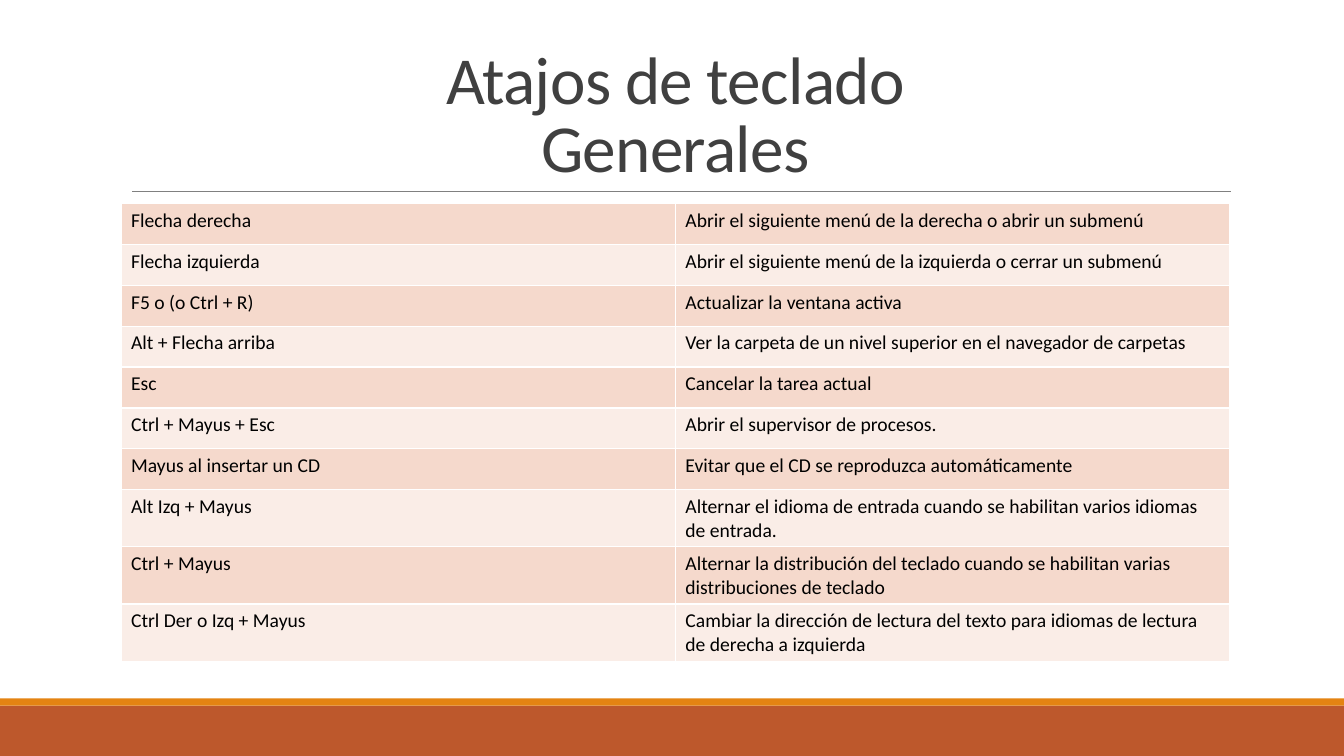
"""Builds a slide that lists general keyboard shortcuts in a table."""
import lxml.etree
import pptx
import pptx.dml.color
import pptx.enum.shapes
import pptx.enum.text
import pptx.oxml.ns
import pptx.util

Cm = pptx.util.Cm
Pt = pptx.util.Pt
qn = pptx.oxml.ns.qn

SHORTCUTS = [
    ("Flecha derecha", "Abrir el siguiente menú de la derecha o abrir un submenú"),
    ("Flecha izquierda", "Abrir el siguiente menú de la izquierda o cerrar un submenú"),
    ("F5 o (o Ctrl + R)", "Actualizar la ventana activa"),
    ("Alt + Flecha arriba", "Ver la carpeta de un nivel superior en el navegador de carpetas"),
    ("Esc", "Cancelar la tarea actual"),
    ("Ctrl + Mayus + Esc", "Abrir el supervisor de procesos."),
    ("Mayus al insertar un CD", "Evitar que el CD se reproduzca automáticamente"),
    ("Alt Izq + Mayus",
     "Alternar el idioma de entrada cuando se habilitan varios idiomas de entrada."),
    ("Ctrl + Mayus",
     "Alternar la distribución del teclado cuando se habilitan varias distribuciones de teclado"),
    ("Ctrl Der o Izq + Mayus",
     "Cambiar la dirección de lectura del texto para idiomas de lectura de derecha a izquierda"),
]


class ShortcutSlide:
    FONT = "Calibri"
    COLORS = {
        "footer": "BD582C",
        "stripe": "E48312",
        "rule": "808080",
        "title": "404040",
        "text": "000000",
        "odd": "F5D9CC",
        "even": "FAEDE7",
        "border": "FFFFFF",
    }

    def __init__(self, slide):
        self.slide = slide

    def color(self, name):
        return pptx.dml.color.RGBColor.from_string(self.COLORS[name])

    def band(self, top, height, color):
        band = self.slide.shapes.add_shape(
            pptx.enum.shapes.MSO_SHAPE.RECTANGLE, 0, Cm(top), Cm(33.87), Cm(height))
        band.shadow.inherit = False
        band.fill.solid()
        band.fill.fore_color.rgb = self.color(color)
        band.line.fill.background()

    def rule(self, left, right, y):
        rule = self.slide.shapes.add_connector(
            pptx.enum.shapes.MSO_CONNECTOR.STRAIGHT, Cm(left), Cm(y), Cm(right), Cm(y))
        rule.line.color.rgb = self.color("rule")
        rule.line.width = Pt(0.5)
        lxml.etree.SubElement(rule._element.spPr, qn("a:effectLst"))

    def run(self, paragraph, text, size, color):
        run = paragraph.add_run()
        run.text = text
        run.font.name = self.FONT
        run.font.size = Pt(size)
        run.font.color.rgb = self.color(color)
        return run

    def title(self, lines, left, top, width, height):
        frame = self.slide.shapes.add_textbox(
            Cm(left), Cm(top), Cm(width), Cm(height)).text_frame
        frame.word_wrap = True
        frame.vertical_anchor = pptx.enum.text.MSO_ANCHOR.BOTTOM
        heading = frame.paragraphs[0]
        heading.alignment = pptx.enum.text.PP_ALIGN.CENTER
        heading.line_spacing = 0.85
        for index, line in enumerate(lines):
            if index:
                heading.add_line_break()
            run = self.run(heading, line, 48, "title")
            run.font._element.set("spc", "-50")

    def borders(self, cell):
        properties = cell._tc.get_or_add_tcPr()
        for position, side in enumerate(("a:lnL", "a:lnR", "a:lnT", "a:lnB")):
            border = lxml.etree.Element(qn(side), w=str(Pt(1)))
            fill = lxml.etree.SubElement(border, qn("a:solidFill"))
            lxml.etree.SubElement(fill, qn("a:srgbClr"), val=self.COLORS["border"])
            properties.insert(position, border)

    def table(self, rows, left, top, width, row_height):
        table = self.slide.shapes.add_table(
            len(rows), len(rows[0]), Cm(left), Cm(top),
            Cm(width), Cm(row_height * len(rows))).table
        table.first_row = False
        for row_index, texts in enumerate(rows):
            for column_index, text in enumerate(texts):
                cell = table.cell(row_index, column_index)
                cell.fill.solid()
                cell.fill.fore_color.rgb = self.color("even" if row_index % 2 else "odd")
                self.borders(cell)
                self.run(cell.text_frame.paragraphs[0], text, 14, "text")


def main():
    presentation = pptx.Presentation()
    presentation.slide_width = Cm(33.87)
    presentation.slide_height = Cm(19.05)
    page = ShortcutSlide(presentation.slides.add_slide(presentation.slide_layouts[6]))
    page.band(17.78, 1.27, "footer")
    page.band(17.6, 0.18, "stripe")
    page.rule(3.33, 31.01, 4.83)
    page.title(["Atajos de teclado", "Generales"], 3.05, 0.79, 27.94, 4.04)
    page.table(SHORTCUTS, 3.05, 5.13, 27.94, 1.03)
    presentation.save("out.pptx")


if __name__ == "__main__":
    main()
